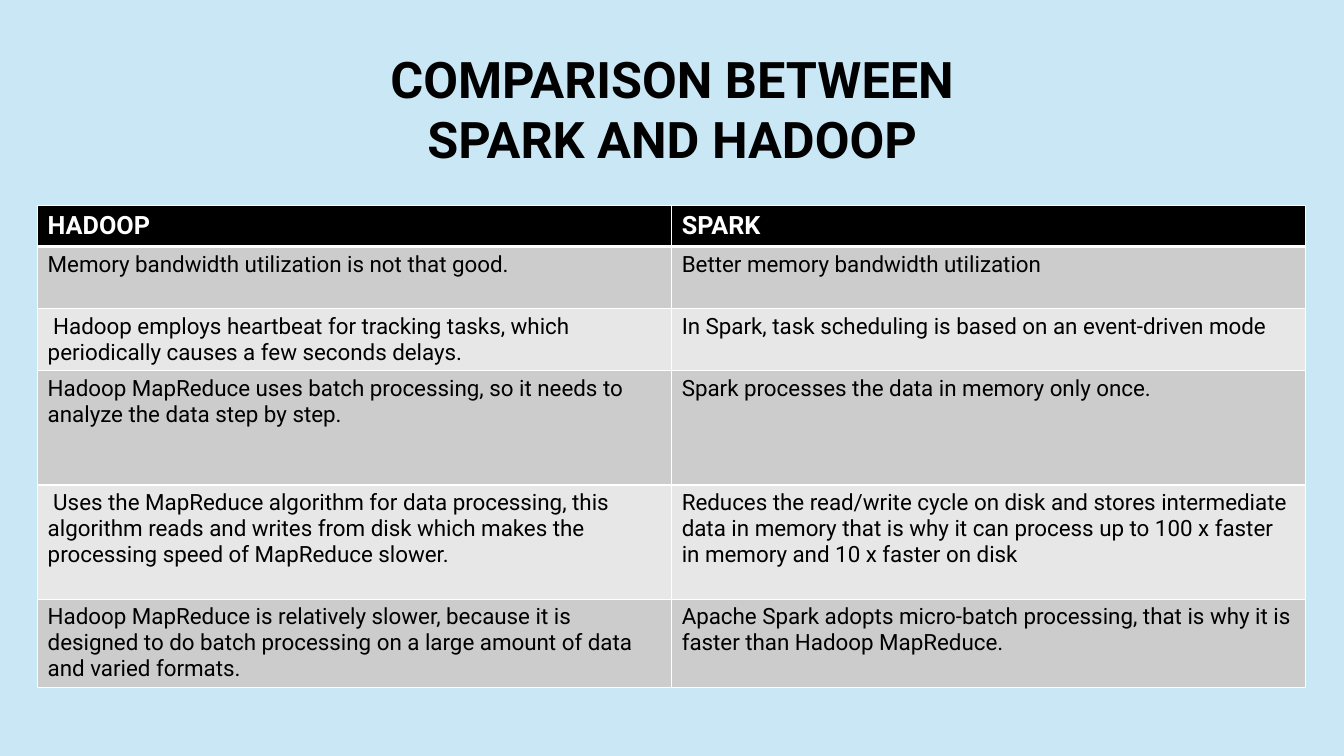
import pptx
import pptx.util
import pptx.dml.color
import pptx.enum.text
import pptx.oxml
import pptx.oxml.ns

Pt = pptx.util.Pt
RGBColor = pptx.dml.color.RGBColor
PP_ALIGN = pptx.enum.text.PP_ALIGN
MSO_ANCHOR = pptx.enum.text.MSO_ANCHOR

SKY = RGBColor(0xCA, 0xE7, 0xF6)
BLACK = RGBColor(0, 0, 0)
WHITE = RGBColor(0xFF, 0xFF, 0xFF)
GREY = RGBColor(0xCC, 0xCC, 0xCC)
LIGHT_GREY = RGBColor(0xE7, 0xE7, 0xE7)

ROWS = [
    ("HADOOP", "SPARK"),
    ("Memory bandwidth utilization is not that good.",
     "Better memory bandwidth utilization"),
    (" Hadoop employs heartbeat for tracking tasks, which periodically "
     "causes a few seconds delays.",
     "In Spark, task scheduling is based on an event-driven mode"),
    ("Hadoop MapReduce uses batch processing, so it needs to analyze the "
     "data step by step.",
     "Spark processes the data in memory only once."),
    (" Uses the MapReduce algorithm for data processing, this algorithm "
     "reads and writes from disk which makes the processing speed of "
     "MapReduce slower.",
     "Reduces the read/write cycle on disk and stores intermediate data in "
     "memory that is why it can process up to 100 x faster in memory and "
     "10 x faster on disk"),
    ("Hadoop MapReduce is relatively slower, because it is designed to do "
     "batch processing on a large amount of data and varied formats.",
     "Apache Spark adopts micro-batch processing, that is why it is faster "
     "than Hadoop MapReduce."),
]
HEIGHTS = [29, 44.4, 44.4, 81.6, 81.6, 63]


def write(tf, text, size=16, color=BLACK, bold=False, align=PP_ALIGN.LEFT):
    tf.word_wrap = True
    p = tf.paragraphs[0]
    p.alignment = align
    p.line_spacing = 1.0
    r = p.add_run()
    r.text = text
    r.font.name = "Roboto"
    r.font.size = Pt(size)
    r.font.bold = bold
    r.font.color.rgb = color


def add_borders(cell, **widths):
    tcPr = cell._tc.get_or_add_tcPr()
    for side, width in widths.items():
        tcPr.append(pptx.oxml.parse_xml(
            f'<a:ln{side} {pptx.oxml.ns.nsdecls("a")} w="{Pt(width)}">'
            f'<a:solidFill><a:srgbClr val="{WHITE}"/></a:solidFill>'
            f'</a:ln{side}>'))


prs = pptx.Presentation()
prs.slide_width = Pt(960)
prs.slide_height = Pt(540)
s = prs.slides.add_slide(prs.slide_layouts[5])
s.background.fill.solid()
s.background.fill.fore_color.rgb = SKY

title = s.shapes.title
title.left, title.top, title.width, title.height = Pt(214.5), Pt(30.2), Pt(531.4), Pt(94.5)
tf = title.text_frame
tf.auto_size = pptx.enum.text.MSO_AUTO_SIZE.NONE
tf.vertical_anchor = MSO_ANCHOR.MIDDLE
write(tf, "COMPARISON BETWEEN SPARK AND HADOOP", size=36, bold=True,
      align=PP_ALIGN.CENTER)

table = s.shapes.add_table(len(ROWS), 2, Pt(26.9), Pt(147), Pt(905.8),
                           Pt(sum(HEIGHTS))).table
for i, (texts, height) in enumerate(zip(ROWS, HEIGHTS)):
    header = i == 0
    table.rows[i].height = Pt(height)
    for j, text in enumerate(texts):
        cell = table.cell(i, j)
        add_borders(cell, L=1, R=1, T=3 if i == 1 else 1, B=3 if header else 1)
        cell.fill.solid()
        cell.fill.fore_color.rgb = BLACK if header else GREY if i % 2 else LIGHT_GREY
        write(cell.text_frame, text, size=18 if header else 16,
              color=WHITE if header else BLACK, bold=header)

prs.save("out.pptx")
